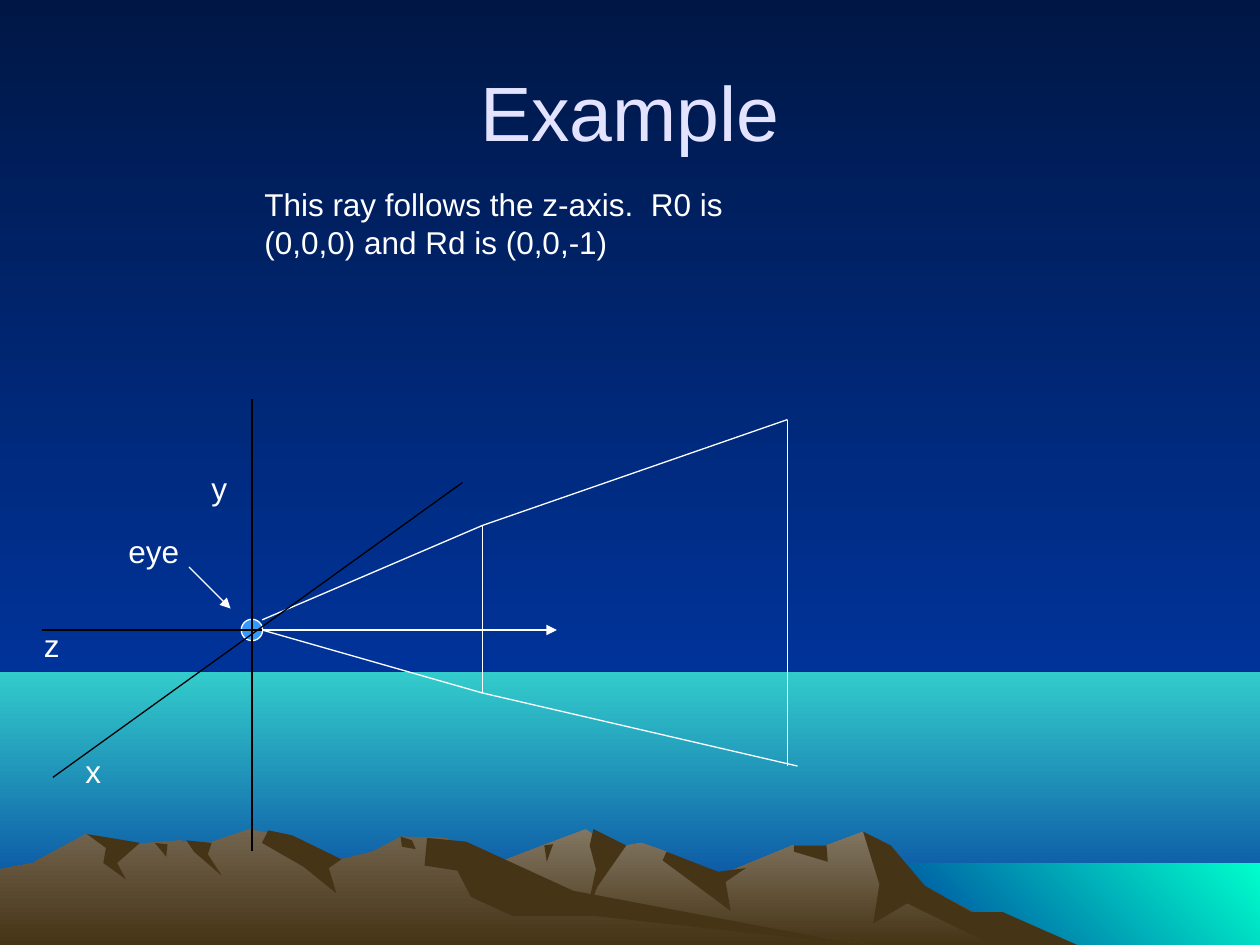
from lxml import etree
from pptx import Presentation, util as u
from pptx.dml.color import RGBColor
from pptx.enum import shapes as sh, text as tx
from pptx.oxml.ns import qn

THEME = {
    "font": "Arial", "title_size": 44, "label_size": 18, "line_width": 0.75,
    "title": "E3E3FF", "text": "FFFFFF", "ray": "FFFFFF", "axis": "000000",
    "eye": "3399FF", "shade": "463416",
    "sky": ("001746", "003399", 270), "sea": ("33CCCC", "003399", 270),
    "bay": ("00FFCC", "003399", 225),
    "far_ridge": ("837763", "463416", 270), "near_ridge": ("72644E", "463416", 270),
}

WIDTH, HEIGHT, HORIZON = 10, 7.5, 5.33
BAY_LEFT, BAY_TOP = 6.83, 6.85
BANDS = [
    ("sea", (0, HORIZON, WIDTH, HEIGHT - HORIZON)),
    ("sky", (0, 0, WIDTH, HORIZON)),
    ("bay", (BAY_LEFT, BAY_TOP, WIDTH - BAY_LEFT, HEIGHT - BAY_TOP)),
]

TITLE = ("Example", (0.5, 0.25, 9, 1.25))
LABEL_HEIGHT = 0.4
LABELS = [
    ("x", 0.58, 5.92, 0.42),
    ("y", 1.58, 3.67, 0.25),
    ("z", 0.25, 4.92, 0.42),
    ("eye", 0.92, 4.17, 0.67),
    ("This ray follows the z-axis.  R0 is (0,0,0) and Rd is (0,0,-1)", 2, 1.42, 4),
]
ORIGIN, EYE_SIZE = (2, 5), 0.17
RAY_START = (2.08, 5)
NEAR_TOP, NEAR_BOTTOM = (3.83, 4.17), (3.83, 5.5)
FAR_TOP, FAR_BOTTOM = (6.25, 3.33), (6.25, 6.08)
FRUSTUM = [
    ((2.08, 4.92), NEAR_TOP), (RAY_START, NEAR_BOTTOM), (NEAR_TOP, NEAR_BOTTOM),
    (NEAR_TOP, FAR_TOP), (NEAR_BOTTOM, (6.33, 6.08)), (FAR_TOP, FAR_BOTTOM),
]
AXES = [((2, 3.17), (2, 6.75)), ((0.33, 5), (4.33, 5)), ((0.42, 6.17), (3.67, 3.83))]
ARROWS = [((1.5, 4.5), (1.83, 4.83)), (RAY_START, (4.42, 5))]

MOUNTAINS = [
    ("far_ridge", [
        (2.58, 7.5), (3.27, 7.09), (4.05, 6.81), (4.65, 6.58), (4.86, 6.73), (5.09, 6.69),
        (5.29, 6.76), (5.66, 6.97), (6.29, 6.71), (6.56, 6.71), (6.85, 6.6), (7.23, 6.98),
        (8.21, 7.5)]),
    ("shade", [
        (6.85, 6.6), (7.07, 6.71), (7.34, 7.03), (7.71, 7.24), (7.96, 7.24), (8.55, 7.5),
        (7.88, 7.5), (7.2, 7.17), (6.93, 7.33), (6.98, 7.02)]),
    ("shade", [(4.71, 6.58), (4.97, 6.71), (4.74, 7.04), (4.65, 7.27), (4.73, 6.9), (4.68, 6.71)]),
    ("shade", [(5.29, 6.76), (5.7, 6.92), (5.92, 6.89), (5.76, 7), (5.8, 7.23), (5.26, 6.83)]),
    ("shade", [(6.3, 6.71), (6.56, 6.71), (6.57, 6.84), (6.3, 6.76)]),
    ("shade", [(4.32, 6.71), (4.39, 6.7), (4.34, 6.84)]),
    ("near_ridge", [
        (0, 7.5), (0, 6.9), (0.26, 6.85), (0.68, 6.62), (0.94, 6.71), (1.43, 6.67),
        (1.6, 6.71), (1.98, 6.58), (2.23, 6.63), (2.71, 6.82), (2.96, 6.76), (3.18, 6.64),
        (3.54, 6.65), (4.32, 7.12), (6.9, 7.5)]),
    ("shade", [
        (2.13, 6.59), (2.32, 6.63), (2.71, 6.82), (2.61, 6.89), (2.67, 7.09), (2.41, 6.88),
        (2.08, 6.69)]),
    ("shade", [
        (3.39, 6.65), (3.7, 6.68), (4.55, 7.07), (6.83, 7.5), (4.72, 7.27), (4.07, 7.27),
        (3.74, 7.12), (3.63, 6.91), (3.37, 6.87)]),
    ("shade", [(3.18, 6.64), (3.27, 6.67), (3.3, 6.74), (3.19, 6.72)]),
    ("shade", [(1.48, 6.67), (1.68, 6.69), (1.65, 6.78), (1.76, 6.95), (1.54, 6.76)]),
    ("shade", [(1.23, 6.69), (1.33, 6.7), (1.32, 6.8)]),
    ("shade", [(0.69, 6.62), (1.11, 6.69), (0.93, 6.85), (1, 6.98), (0.82, 6.85), (0.84, 6.73)]),
]


def cm(*inches):
    return [u.Cm(value * 2.54) for value in inches]


def rgb(name):
    return RGBColor.from_string(THEME[name])


def paint(fill, name):
    if isinstance(THEME[name], str):
        fill.solid()
        fill.fore_color.rgb = rgb(name)
        return
    *stops, angle = THEME[name]
    fill.gradient()
    fill.gradient_angle = angle
    for stop, color in zip(fill.gradient_stops, stops):
        stop.color.rgb = RGBColor.from_string(color)


def finish(part, fill, outline=None):
    part.shadow.inherit = False
    paint(part.fill, fill)
    if outline:
        part.line.color.rgb = rgb(outline)
        part.line.width = u.Pt(THEME["line_width"])
    else:
        part.line.fill.background()


def write(frame, words, size, color, align=tx.PP_ALIGN.LEFT, anchor=tx.MSO_ANCHOR.TOP,
          before=0, fit=tx.MSO_AUTO_SIZE.NONE):
    frame.word_wrap = True
    frame.auto_size = fit
    frame.vertical_anchor = anchor
    paragraph = frame.paragraphs[0]
    paragraph.alignment = align
    paragraph.space_before = u.Pt(before)
    run = paragraph.add_run()
    run.text = words
    run.font.name = THEME["font"]
    run.font.size = u.Pt(THEME[size])
    run.font.color.rgb = rgb(color)


def draw_line(canvas, ends, color, arrow=False):
    start, end = ends
    segment = canvas.add_connector(sh.MSO_CONNECTOR.STRAIGHT, *cm(*start, *end))
    segment.line.color.rgb = rgb(color)
    segment.line.width = u.Pt(THEME["line_width"])
    properties = segment.element.spPr
    if arrow:
        etree.SubElement(properties.find(qn("a:ln")), qn("a:tailEnd"), type="triangle")
    etree.SubElement(properties, qn("a:effectLst"))


def main():
    deck = Presentation()
    deck.slide_width, deck.slide_height = cm(WIDTH, HEIGHT)
    slide = deck.slides.add_slide(deck.slide_layouts[5])
    canvas = slide.shapes
    paint(slide.background.fill, "sky")

    for band, box in BANDS:
        finish(canvas.add_shape(sh.MSO_SHAPE.RECTANGLE, *cm(*box)), band)
    for surface, outline in MOUNTAINS:
        corners = [cm(*point) for point in outline]
        builder = canvas.build_freeform(*corners[0])
        builder.add_line_segments(corners[1:], close=True)
        finish(builder.convert_to_shape(), surface)

    heading = canvas.title
    canvas.element.append(heading.element)
    words, box = TITLE
    heading.left, heading.top, heading.width, heading.height = cm(*box)
    write(heading.text_frame, words, "title_size", "title",
          align=tx.PP_ALIGN.CENTER, anchor=tx.MSO_ANCHOR.MIDDLE)

    eye_corner = [center - EYE_SIZE / 2 for center in ORIGIN]
    eye = canvas.add_shape(sh.MSO_SHAPE.OVAL, *cm(*eye_corner, EYE_SIZE, EYE_SIZE))
    finish(eye, "eye", outline="ray")
    for group, color, arrow in ((FRUSTUM, "ray", False), (AXES, "axis", False), (ARROWS, "ray", True)):
        for ends in group:
            draw_line(canvas, ends, color, arrow)
    for words, left, top, width in LABELS:
        lines = 2 if width > 1 else 1
        label = canvas.add_textbox(*cm(left, top, width, LABEL_HEIGHT + 0.3 * (lines - 1)))
        write(label.text_frame, words, "label_size", "text",
              before=11.2, fit=tx.MSO_AUTO_SIZE.SHAPE_TO_FIT_TEXT)

    deck.save("out.pptx")


if __name__ == "__main__":
    main()
